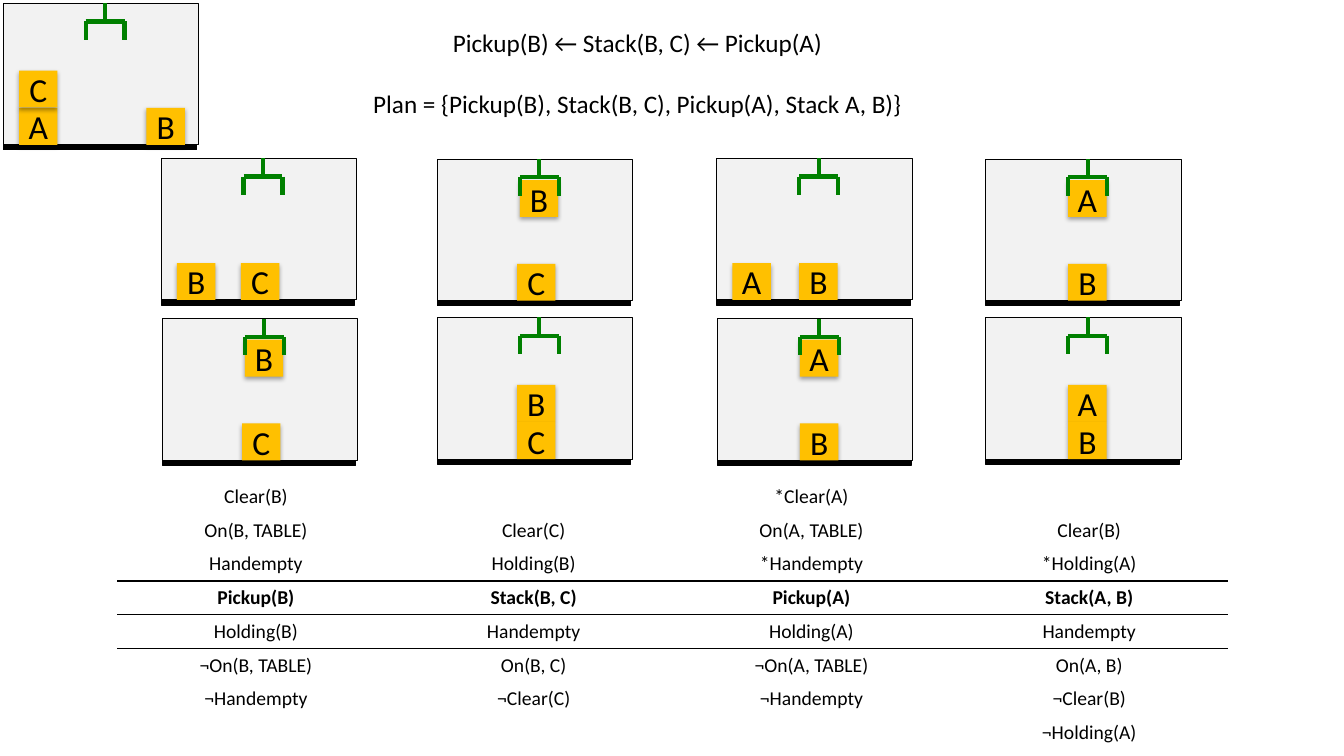
"""Build the blocks-world planning slide with its states and operator table."""
from lxml import etree
from pptx import Presentation
from pptx.dml.color import RGBColor
from pptx.enum.shapes import MSO_CONNECTOR, MSO_SHAPE
from pptx.enum.text import MSO_ANCHOR, MSO_AUTO_SIZE, PP_ALIGN
from pptx.oxml import parse_xml
from pptx.oxml.ns import qn
from pptx.util import Cm, Pt

RECTANGLE = MSO_SHAPE.RECTANGLE
STRAIGHT = MSO_CONNECTOR.STRAIGHT
CENTER = PP_ALIGN.CENTER
TOP, MIDDLE = MSO_ANCHOR.TOP, MSO_ANCHOR.MIDDLE
NO_AUTOFIT = MSO_AUTO_SIZE.NONE
NAMESPACE = 'xmlns:a="http://schemas.openxmlformats.org/drawingml/2006/main"'
NO_GRID_STYLE = "{2D5ABB26-0587-4C30-8999-92F81FD0307C}"

FONT = "Calibri"
BLACK, PANEL, BLOCK, CLAW = "000000", "F2F2F2", "FFC000", "008000"

HEADING = [
    "Pickup(B) ← Stack(B, C) ← Pickup(A)",
    "Plan = {Pickup(B), Stack(B, C), Pickup(A), Stack A, B)}",
]

PANEL_WIDTH, PANEL_HEIGHT = 4.93, 3.57
FLOOR_WIDTH, FLOOR_HEIGHT = 4.88, 0.13
BLOCK_WIDTH, BLOCK_HEIGHT = 0.97, 0.93
CLAW_CENTER, CLAW_HALF, CLAW_DROP = 2.57, 0.49, 0.46
FLOOR, STACKED, HELD = 2.64, 1.7, 0.53
LEFT, CENTRAL, UNDER_CLAW, RIGHT = 0.4, 2.01, 2.08, 3.61

SCENES = [
    (24.84, 8.0, [("A", UNDER_CLAW, STACKED), ("B", UNDER_CLAW, FLOOR)]),
    (11.02, 8.0, [("B", CENTRAL, STACKED), ("C", CENTRAL, FLOOR)]),
    (18.06, 3.99, [("A", LEFT, FLOOR), ("B", UNDER_CLAW, FLOOR)]),
    (4.06, 3.99, [("B", LEFT, FLOOR), ("C", CENTRAL, FLOOR)]),
    (24.84, 4.01, [("A", UNDER_CLAW, HELD), ("B", UNDER_CLAW, FLOOR)]),
    (11.02, 4.01, [("B", UNDER_CLAW, HELD), ("C", CENTRAL, FLOOR)]),
    (18.08, 8.03, [("A", UNDER_CLAW, HELD), ("B", UNDER_CLAW, FLOOR)]),
    (4.09, 8.03, [("B", UNDER_CLAW, HELD), ("C", CENTRAL, FLOOR)]),
    (0.08, 0.08, [("A", LEFT, FLOOR), ("B", RIGHT, FLOOR), ("C", LEFT, STACKED)]),
]

ACTION_ROW = 3
OPERATORS = [
    ("Clear(B)", "", "*Clear(A)", ""),
    ("On(B, TABLE)", "Clear(C)", "On(A, TABLE)", "Clear(B)"),
    ("Handempty", "Holding(B)", "*Handempty", "*Holding(A)"),
    ("Pickup(B)", "Stack(B, C)", "Pickup(A)", "Stack(A, B)"),
    ("Holding(B)", "Handempty", "Holding(A)", "Handempty"),
    ("¬On(B, TABLE)", "On(B, C)", "¬On(A, TABLE)", "On(A, B)"),
    ("¬Handempty", "¬Clear(C)", "¬Handempty", "¬Clear(B)"),
    ("", "", "", "¬Holding(A)"),
]


def color(value):
    return RGBColor.from_string(value)


def write(paragraph, text, size, bold=False, before=0):
    paragraph.alignment = CENTER
    paragraph.space_before = Pt(before)
    if text:
        span = paragraph.add_run()
        span.text = text
        span.font.name = FONT
        span.font.size = Pt(size)
        span.font.bold = bold
        span.font.color.rgb = color(BLACK)


def add_box(group, left, top, width, height, fill, outlined=True):
    box = group.shapes.add_shape(RECTANGLE, Cm(left), Cm(top), Cm(width), Cm(height))
    box.shadow.inherit = False
    box.fill.solid()
    box.fill.fore_color.rgb = color(fill)
    if outlined:
        box.line.color.rgb = color(BLACK)
        box.line.width = Pt(0.75)
    else:
        box.line.fill.background()
    return box


def add_block(group, letter, left, top):
    box = add_box(group, left, top, BLOCK_WIDTH, BLOCK_HEIGHT, BLOCK, outlined=False)
    effects = box._element.spPr.find(qn("a:effectLst"))
    effects.append(parse_xml(
        f'<a:outerShdw {NAMESPACE} blurRad="40000" dist="23000" dir="5400000" rotWithShape="0">'
        '<a:srgbClr val="000000"><a:alpha val="35000"/></a:srgbClr></a:outerShdw>'))
    frame = box.text_frame
    frame.word_wrap = False
    frame.vertical_anchor = MIDDLE
    write(frame.paragraphs[0], letter, 24)


def add_claw(group, left, top):
    center = left + CLAW_CENTER
    start, end = center - CLAW_HALF, center + CLAW_HALF
    beam, tip = top + CLAW_DROP, top + 2 * CLAW_DROP
    strokes = [(start, beam, end, beam), (start, beam, start, tip),
               (center, top, center, beam), (end, beam, end, tip)]
    for stroke in strokes:
        line = group.shapes.add_connector(STRAIGHT, *[Cm(value) for value in stroke])
        line.line.color.rgb = color(CLAW)
        line.line.width = Pt(3)
        etree.SubElement(line._element.spPr, qn("a:effectLst"))


def add_scene(page, left, top, blocks):
    group = page.shapes.add_group_shape()
    add_box(group, left, top, PANEL_WIDTH, PANEL_HEIGHT, PANEL)
    add_box(group, left, top + PANEL_HEIGHT, FLOOR_WIDTH, FLOOR_HEIGHT, BLACK)
    for letter, across, down in blocks:
        add_block(group, letter, left + across, top + down)
    add_claw(group, left, top)


def add_heading(page):
    title = page.shapes.title
    title.left, title.top, title.width, title.height = Cm(9.04), Cm(0.56), Cm(14.05), Cm(3.33)
    frame = title.text_frame
    frame.auto_size = NO_AUTOFIT
    frame.word_wrap = True
    frame.vertical_anchor = TOP
    write(frame.paragraphs[0], HEADING[0], 18)
    write(frame.add_paragraph(), HEADING[1], 18, before=22)


def add_border(cell, index, side):
    cell._tc.get_or_add_tcPr().insert(index, parse_xml(
        f'<a:{side} {NAMESPACE} w="12700"><a:solidFill><a:srgbClr val="{BLACK}"/>'
        f'</a:solidFill></a:{side}>'))


def add_operators(page):
    rows, columns = len(OPERATORS), len(OPERATORS[0])
    table = page.shapes.add_table(
        rows, columns, Cm(2.95), Cm(12.09), Cm(28), Cm(0.85 * rows)).table
    table.first_row = table.horz_banding = False
    table._tbl.tblPr.find(qn("a:tableStyleId")).text = NO_GRID_STYLE
    for row, facts in enumerate(OPERATORS):
        for column, fact in enumerate(facts):
            cell = table.cell(row, column)
            cell.fill.background()
            cell.vertical_anchor = MIDDLE
            cell.margin_top = cell.margin_bottom = 0
            write(cell.text_frame.paragraphs[0], fact, 14, bold=row == ACTION_ROW)
            if row in (ACTION_ROW - 1, ACTION_ROW):
                add_border(cell, 0, "lnB")
            if row in (ACTION_ROW, ACTION_ROW + 1):
                add_border(cell, 0, "lnT")


def main():
    deck = Presentation()
    deck.slide_width, deck.slide_height = Cm(33.87), Cm(19.05)
    page = deck.slides.add_slide(deck.slide_layouts[5])
    add_heading(page)
    for scene in SCENES:
        add_scene(page, *scene)
    add_operators(page)
    deck.save("out.pptx")


if __name__ == "__main__":
    main()
